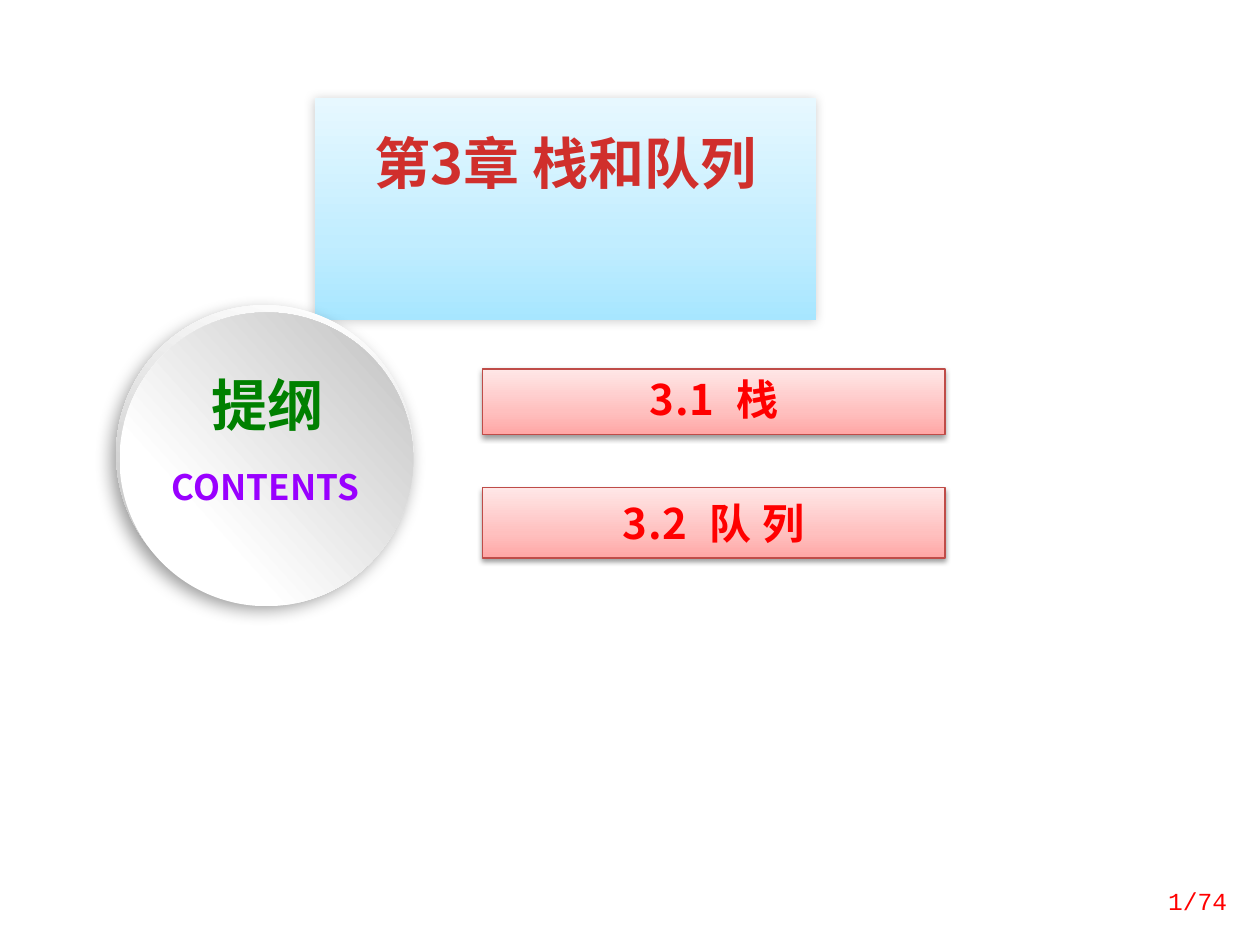
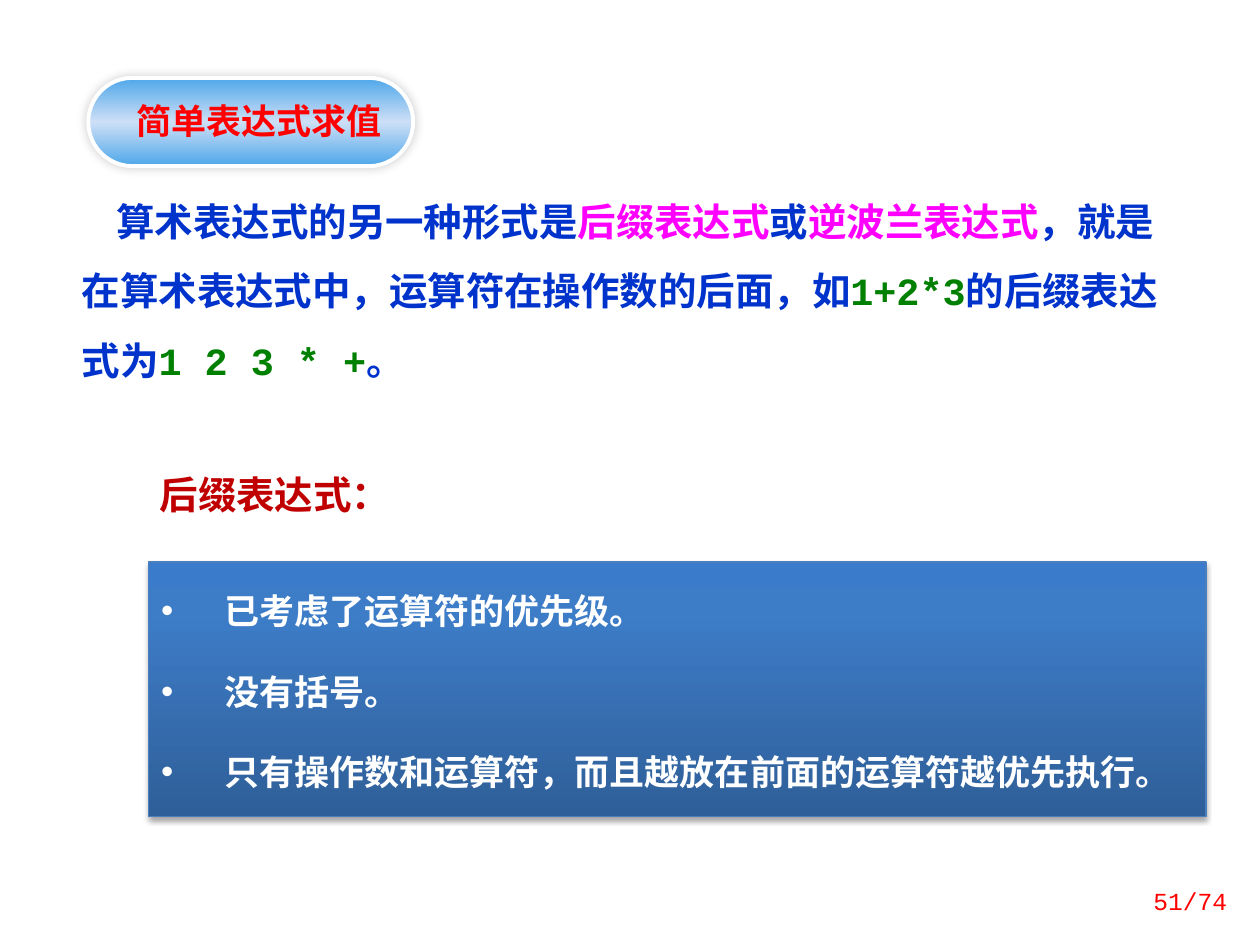
from lxml import etree
from pptx import Presentation
from pptx.dml.color import RGBColor
from pptx.enum.shapes import MSO_SHAPE
from pptx.enum.text import MSO_ANCHOR, MSO_AUTO_SIZE, PP_ALIGN
from pptx.oxml.ns import qn
from pptx.util import Cm, Pt

RECT, OVAL, PILL = MSO_SHAPE.RECTANGLE, MSO_SHAPE.OVAL, MSO_SHAPE.ROUNDED_RECTANGLE
TOP, MIDDLE = MSO_ANCHOR.TOP, MSO_ANCHOR.MIDDLE
LEFT, CENTER, RIGHT = PP_ALIGN.LEFT, PP_ALIGN.CENTER, PP_ALIGN.RIGHT
GROW, FIXED = MSO_AUTO_SIZE.SHAPE_TO_FIT_TEXT, MSO_AUTO_SIZE.NONE

SANS, SANS_JP, MONO = "Noto Sans CJK SC", "Noto Sans CJK JP", "Courier New"
RED, GREEN, BLUE, MAGENTA = "FF0000", "008000", "0033CC", "FF00FF"
SKY = [(0, "A7E6FF"), (35, "C1EDFF"), (100, "E7F8FF")]
ROSE = [(0, "FFA6A5"), (35, "FFC0BF"), (100, "FFE7E7")]
AZURE = [(0, "4EA7EA"), (50, "CDDFF6"), (100, "4EA7EA")]
NAVY = [(0, "2F5F99"), (80, "3D7CC7"), (100, "3A7CCB")]
RIM = [(17, "FFFFFF"), (88, "B8B8B8")]
FACE = [(29, "FFFFFF"), (98, "BFBFBF")]
PAGE_BOX = (22.5, 17.65, 2.49, 1.02)
PAGE_TOTAL = 74


def rgb(value):
    return RGBColor.from_string(value)


def place(shape, box):
    for name, value in zip(("left", "top", "width", "height"), box):
        setattr(shape, name, Cm(value))


def add_shadow(shape, alpha, blur, dist, angle):
    shape.shadow.inherit = False
    effects = shape._element.spPr.find(qn("a:effectLst"))
    outer = etree.SubElement(effects, qn("a:outerShdw"), blurRad=str(Pt(blur)),
                             dist=str(Pt(dist)), dir=str(angle * 60000), rotWithShape="0")
    color = etree.SubElement(outer, qn("a:srgbClr"), val="000000")
    etree.SubElement(color, qn("a:alpha"), val=str(alpha * 1000))


def paint(shape, stops, angle, line=None, shadow=None):
    shape.fill.gradient()
    shape.fill.gradient_angle = (360 - angle) % 360
    stop_list = shape._element.spPr.find(qn("a:gradFill")).find(qn("a:gsLst"))
    for old in list(stop_list):
        stop_list.remove(old)
    for pos, value in stops:
        stop = etree.SubElement(stop_list, qn("a:gs"), pos=str(pos * 1000))
        etree.SubElement(stop, qn("a:srgbClr"), val=value)
    if line:
        shape.line.color.rgb, shape.line.width = rgb(line[0]), Pt(line[1])
    else:
        shape.line.fill.background()
    shape.shadow.inherit = False
    if shadow:
        add_shadow(shape, *shadow)


def add_painted(s, kind, box, *look, **extra):
    shape = s.shapes.add_shape(kind, *map(Cm, box))
    paint(shape, *look, **extra)
    return shape


def set_frame(shape, anchor=TOP, top=0.13, bottom=0.13, fit=GROW):
    frame = {"word_wrap": True, "auto_size": fit, "vertical_anchor": anchor,
             "margin_left": Cm(0.25), "margin_right": Cm(0.25),
             "margin_top": Cm(top), "margin_bottom": Cm(bottom)}
    for name, value in frame.items():
        setattr(shape.text_frame, name, value)


def write(p, runs, size, font, bold=True, align=LEFT, spacing=1.0, tracking=0):
    layout = {"alignment": align, "line_spacing": spacing, "space_before": Pt(size / 2)}
    for name, value in layout.items():
        setattr(p, name, value)
    for text, color in runs:
        r = p.add_run()
        r.text = text
        for name, value in {"name": font, "size": Pt(size), "bold": bold}.items():
            setattr(r.font, name, value)
        r.font.color.rgb = rgb(color)
        rPr = r.font._element
        etree.SubElement(rPr, qn("a:ea"), typeface=font)
        if tracking:
            rPr.set("spc", str(tracking))


def indent(p, margin, first):
    pPr = p._p.get_or_add_pPr()
    pPr.set("marL", str(Cm(margin)))
    pPr.set("indent", str(Cm(first)))
    return pPr


def add_text(s, box, runs, size, font, frame=None, **style):
    sp = s.shapes.add_textbox(*map(Cm, box))
    set_frame(sp, **(frame or {}))
    p = sp.text_frame.paragraphs[0]
    write(p, runs, size, font, **style)
    return p


def set_title(s, box, text, color, size, font, **frame):
    title = s.shapes.title
    place(title, box)
    set_frame(title, **frame)
    write(title.text_frame.paragraphs[0], [(text, color)], size, font, align=CENTER)
    return title


def page_number(s, number):
    add_text(s, PAGE_BOX, [(f"{number}/{PAGE_TOTAL}", RED)], 14, MONO,
             {"anchor": MIDDLE, "fit": FIXED}, bold=False, align=RIGHT)


def contents_disc(s, box):
    x, y, d = box
    rim = add_painted(s, OVAL, (x, y, d, d), RIM, 45, shadow=(39, 10, 5, 123))
    rim.rotation = 62.3
    face = add_painted(s, OVAL, (x + 0.07, y + 0.15, d - 0.07, d - 0.07), FACE, 45)
    face.rotation = 273
    for label, color, size, dx, dy, w, h in (
            ("CONTENTS", "9900FF", 20, 0.68, 3.1, 4.67, 1.12),
            ("提纲", GREEN, 32, 1.09, 1.19, 3.91, 1.63)):
        add_text(s, (x + dx, y + dy, w, h), [(label, color)], size, SANS, align=CENTER)


def section_bars(s, box, sections):
    x, y, w, pitch = box
    for i, (text, h, top) in enumerate(sections):
        bar = add_painted(s, RECT, (x, y + i * pitch, w, h), ROSE, 270,
                          line=("BF4C48", 0.75), shadow=(38, 3.1, 1.6, 90))
        set_frame(bar, top=top, bottom=0.2)
        write(bar.text_frame.paragraphs[0], [(text, RED)], 24, SANS,
              align=CENTER, tracking=50)


def pill_title(s, box, text):
    x, y, w, h = box
    title = set_title(s, (x + 0.58, y + 0.31, w - 0.81, 1.12), text, RED, 20, SANS)
    pill = add_painted(s, PILL, box, AZURE, 90, line=("FFFFFF", 2.25), shadow=(20, 6, 0, 225))
    pill.adjustments[0] = 0.5
    title._element.addprevious(pill._element)


def feature_list(s, box, heading, items):
    x, y, w, h = box
    p = add_text(s, (x - 0.23, y - 1.78, 6.96, 1.19), [(heading, "C00000")], 22, MONO,
                 spacing=0.8)
    indent(p, 0.2, 0)
    body = s.placeholders[1]
    place(body, box)
    paint(body, NAVY, 270, line=("4B7EBC", 0.75), shadow=(35, 3.1, 1.8, 90))
    set_frame(body)
    tf = body.text_frame
    for i, item in enumerate(items):
        p = tf.add_paragraph() if i else tf.paragraphs[0]
        write(p, [(item, "FFFFFF")], 20, MONO, spacing=1.5)
        pPr = indent(p, 1.27, -1.27)
        etree.SubElement(pPr, qn("a:buFont"), typeface="Arial")
        etree.SubElement(pPr, qn("a:buChar"), char="•")


def chapter_slide(prs):
    s = prs.slides.add_slide(prs.slide_layouts[5])
    title = set_title(s, (6.35, 1.98, 10.11, 2.11), "第3章 栈和队列", "D02F2C", 32, SANS_JP,
                      top=0.61)
    paint(title, SKY, 270, shadow=(20, 6, 1, 135))
    section_bars(s, (9.73, 7.44, 9.32, 2.39), [("3.1  栈", 1.32, 0.1), ("3.2  队 列", 1.42, 0.2)])
    contents_disc(s, (2.34, 6.15, 5.99))
    page_number(s, 1)


def postfix_slide(prs):
    s = prs.slides.add_slide(prs.slide_layouts[1])
    pill_title(s, (1.78, 1.57, 6.55, 1.78), "简单表达式求值")
    p = add_text(s, (1.4, 3.4, 22.43, 4.32), [
        ("算术表达式的另一种形式是", BLUE), ("后缀表达式", MAGENTA), ("或", BLUE),
        ("逆波兰表达式", MAGENTA),
        ("，就是在算术表达式中，运算符在操作数的后面，如", BLUE), ("1+2*3", GREEN),
        ("的后缀表达式为", BLUE), ("1 2 3 * +", GREEN), ("。", BLUE)], 22, MONO, spacing=1.5)
    indent(p, 0, 0.7)
    feature_list(s, (3, 11.33, 21.31, 5.38), "后缀表达式：", [
        "已考虑了运算符的优先级。",
        "没有括号。",
        "只有操作数和运算符，而且越放在前面的运算符越优先执行。"])
    page_number(s, 51)


def main():
    prs = Presentation()
    prs.slide_width, prs.slide_height = Cm(25.4), Cm(19.05)
    chapter_slide(prs)
    postfix_slide(prs)
    prs.save("out.pptx")


if __name__ == "__main__":
    main()
